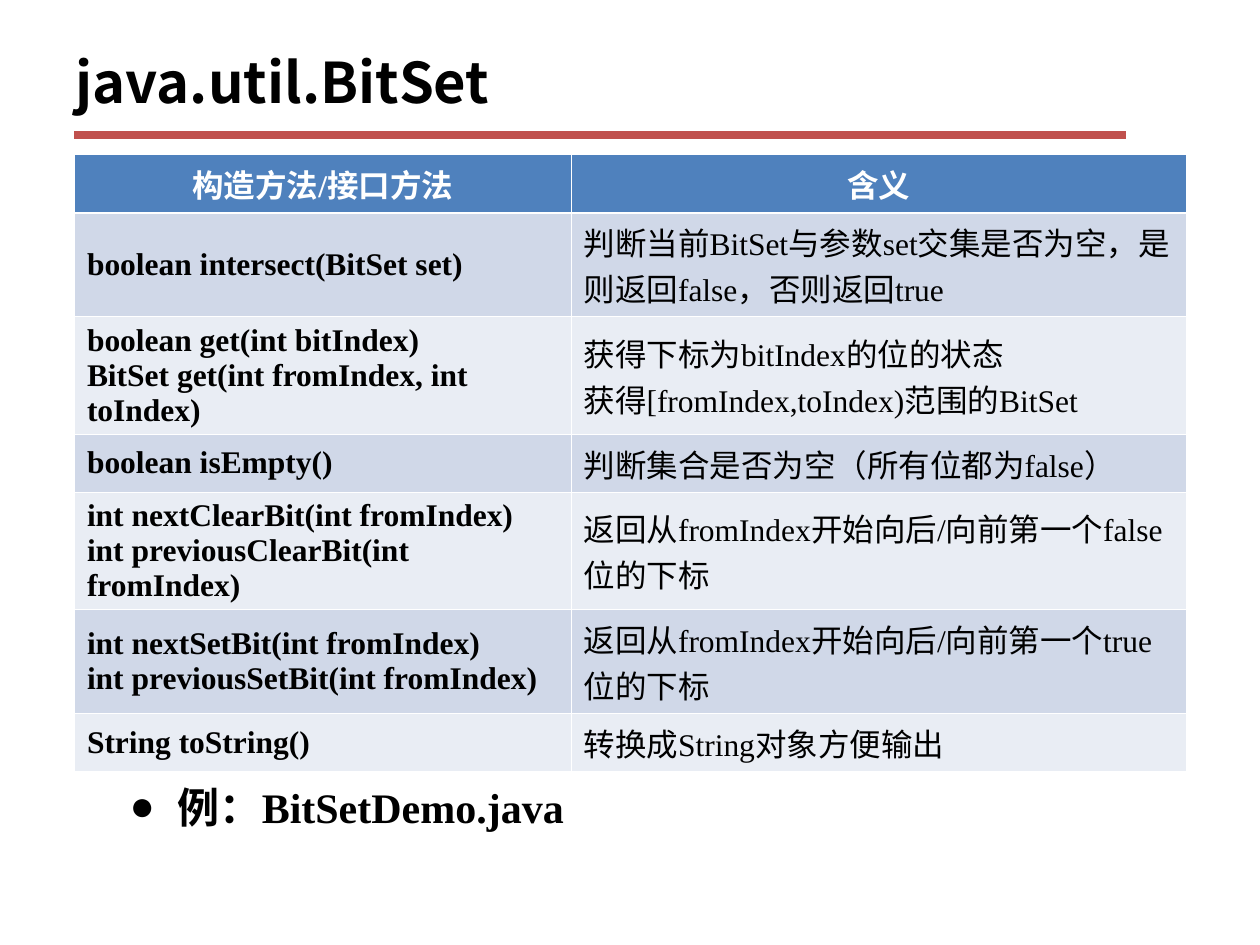
from lxml import etree
from pptx import Presentation
from pptx import util as u
from pptx.dml import color
from pptx.enum import shapes, text
from pptx.oxml import ns

LATIN, HAN = "Times New Roman", "Noto Sans CJK SC"
BLACK, WHITE, RED = "000000", "FFFFFF", "C0504D"
HEADER_FILL, BAND_FILLS = "4F81BD", ("D0D8E8", "E9EDF4")
LEFT = 1.5
COLUMN_WIDTHS = (10.01, 12.4)
ROW_HEIGHTS = (1.17, 2.08, 2.36, 1.17, 2.36, 2.08, 1.17)
HEADINGS = ("构造方法/接口方法", "含义")
METHODS = (
    (("boolean intersect(BitSet set)",),
     ("判断当前BitSet与参数set交集是否为空，是则返回false，否则返回true",)),
    (("boolean get(int bitIndex)", "BitSet get(int fromIndex, int toIndex)"),
     ("获得下标为bitIndex的位的状态", "获得[fromIndex,toIndex)范围的BitSet")),
    (("boolean isEmpty()",),
     ("判断集合是否为空（所有位都为false）",)),
    (("int nextClearBit(int fromIndex)", "int previousClearBit(int fromIndex)"),
     ("返回从fromIndex开始向后/向前第一个false位的下标",)),
    (("int nextSetBit(int fromIndex)", "int previousSetBit(int fromIndex)"),
     ("返回从fromIndex开始向后/向前第一个true位的下标",)),
    (("String toString()",),
     ("转换成String对象方便输出",)),
)


def rgb(value):
    """Turn a hex string into a colour."""
    return color.RGBColor.from_string(value)


def place(item, left, top, width, height):
    """Move and size a shape, in centimetres."""
    item.left, item.top = u.Cm(left), u.Cm(top)
    item.width, item.height = u.Cm(width), u.Cm(height)


def add_run(paragraph, words, size, ink=BLACK, bold=True, latin=LATIN):
    """Append one formatted run with Latin and East Asian fonts."""
    run = paragraph.add_run()
    run.text = words
    run.font.size, run.font.bold, run.font.name = u.Pt(size), bold, latin
    run.font.color.rgb = rgb(ink)
    etree.SubElement(run.font._element, ns.qn("a:ea"), typeface=HAN)


def add_title(slide, words):
    """Fill the title placeholder."""
    title = slide.shapes.title
    place(title, 1.27, 0.53, 22.86, 2.21)
    frame = title.text_frame
    frame.auto_size = text.MSO_AUTO_SIZE.NONE
    frame.vertical_anchor = text.MSO_ANCHOR.MIDDLE
    frame.paragraphs[0].alignment = text.PP_ALIGN.LEFT
    add_run(frame.paragraphs[0], words, 32, latin=HAN)


def add_rule(slide):
    """Draw the thick rule under the title."""
    rule = slide.shapes.add_connector(
        shapes.MSO_CONNECTOR.STRAIGHT, u.Cm(LEFT), u.Cm(2.72), u.Cm(22.7), u.Cm(2.72))
    rule.line.color.rgb = rgb(RED)
    rule.line.width = u.Pt(4.5)
    etree.SubElement(rule._element.spPr, ns.qn("a:effectLst"))


def set_borders(cell, top, bottom):
    """Give a cell thin white sides and the given top and bottom weights."""
    properties = cell._tc.get_or_add_tcPr()
    weights = {"lnL": 0.45, "lnR": 0.45, "lnT": top, "lnB": bottom}
    for position, (side, weight) in enumerate(weights.items()):
        border = etree.Element(ns.qn(f"a:{side}"), w=str(u.Pt(weight)))
        fill = etree.SubElement(border, ns.qn("a:solidFill"))
        etree.SubElement(fill, ns.qn("a:srgbClr"), val=WHITE)
        properties.insert(position, border)


def fill_cell(cell, lines, fill, ink, bold, alignment):
    """Write the lines of a cell and colour it."""
    cell.fill.solid()
    cell.fill.fore_color.rgb = rgb(fill)
    cell.vertical_anchor = text.MSO_ANCHOR.MIDDLE
    frame = cell.text_frame
    for index, line in enumerate(lines):
        paragraph = frame.add_paragraph() if index else frame.paragraphs[0]
        paragraph.alignment = alignment
        add_run(paragraph, line, 18, ink, bold)


def add_method_table(slide):
    """Build the table of methods and meanings."""
    methods = slide.shapes.add_table(
        len(ROW_HEIGHTS), len(COLUMN_WIDTHS), u.Cm(LEFT), u.Cm(3.12),
        u.Cm(sum(COLUMN_WIDTHS)), u.Cm(sum(ROW_HEIGHTS))).table
    for column, width in zip(methods.columns, COLUMN_WIDTHS):
        column.width = u.Cm(width)
    for row, height in zip(methods.rows, ROW_HEIGHTS):
        row.height = u.Cm(height)
    for column, heading in enumerate(HEADINGS):
        cell = methods.cell(0, column)
        fill_cell(cell, (heading,), HEADER_FILL, WHITE, True, text.PP_ALIGN.CENTER)
        set_borders(cell, 0.45, 1.47)
    for row, entry in enumerate(METHODS, 1):
        for column, lines in enumerate(entry):
            cell = methods.cell(row, column)
            fill_cell(cell, lines, BAND_FILLS[(row - 1) % 2], BLACK,
                      column == 0, text.PP_ALIGN.LEFT)
            set_borders(cell, 1.47 if row == 1 else 0.45, 0.45)


def add_example(slide, words):
    """Fill the body placeholder with one bulleted example."""
    body = slide.placeholders[1]
    place(body, 1.27, 15.62, 22.86, 2.3)
    frame = body.text_frame
    frame.auto_size = text.MSO_AUTO_SIZE.NONE
    example = frame.paragraphs[0]
    example.level = 1
    example.space_before = u.Pt(0)
    properties = example._p.get_or_add_pPr()
    properties.set("marL", str(u.Cm(2.06)))
    properties.set("indent", str(u.Cm(-0.97)))
    bullet_ink = etree.SubElement(properties, ns.qn("a:buClr"))
    etree.SubElement(bullet_ink, ns.qn("a:srgbClr"), val=BLACK)
    etree.SubElement(properties, ns.qn("a:buFont"), typeface=LATIN)
    etree.SubElement(properties, ns.qn("a:buChar"), char="●")
    add_run(example, words, 24)


def main():
    """Build and save the slide."""
    deck = Presentation()
    deck.slide_width, deck.slide_height = u.Cm(25.4), u.Cm(19.05)
    slide = deck.slides.add_slide(deck.slide_layouts[1])
    add_rule(slide)
    add_title(slide, "java.util.BitSet")
    add_example(slide, "例：BitSetDemo.java")
    add_method_table(slide)
    deck.save("out.pptx")


if __name__ == "__main__":
    main()
